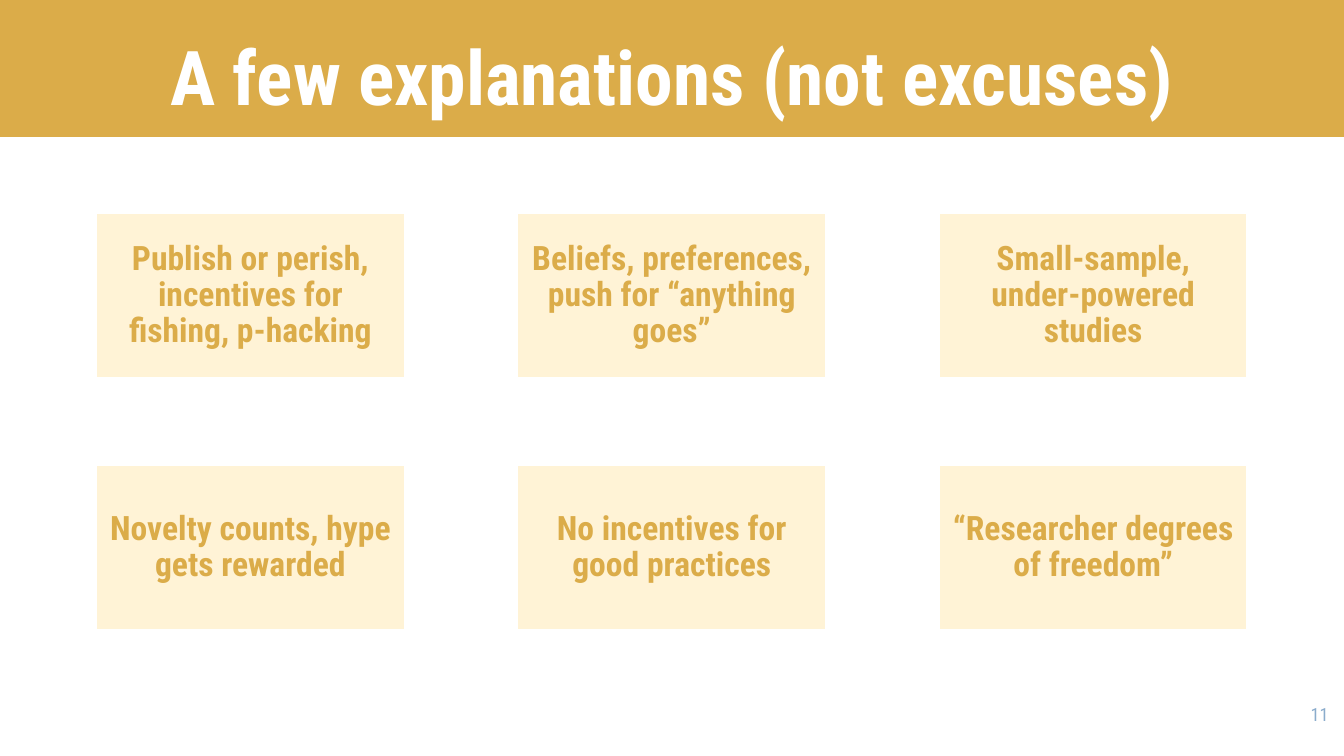
from dataclasses import dataclass

from pptx import Presentation, util as u
from pptx.dml.color import RGBColor
from pptx.enum import shapes, text

FONT = "Roboto Condensed"
GOLD, CREAM, WHITE, BLUE = "DBAC49", "FFF3D6", "FFFFFF", "8BACCC"
SLIDE_WIDTH, SLIDE_HEIGHT = 33.87, 19.05
BAND_HEIGHT = 3.45
CARD_WIDTH, CARD_HEIGHT = 7.8, 4.17
FIRST_LEFT, FIRST_TOP = 2.41, 5.36
COLUMN_STEP, ROW_STEP = 10.62, 6.36


@dataclass(frozen=True)
class Explanation:
    wording: str
    column: int
    row: int


EXPLANATIONS = [
    Explanation("Publish or perish, incentives for fishing, p-hacking", 0, 0),
    Explanation("Novelty counts, hype gets rewarded", 0, 1),
    Explanation("Beliefs, preferences, push for “anything goes”", 1, 0),
    Explanation("No incentives for good practices", 1, 1),
    Explanation("Small-sample, under-powered studies", 2, 0),
    Explanation("“Researcher degrees of freedom”", 2, 1),
]


def color(hex_value: str) -> RGBColor:
    return RGBColor.from_string(hex_value)


def write(shape, wording: str, *, size: float, hue: str, bold: bool = False,
          align=text.PP_ALIGN.CENTER, anchor=text.MSO_ANCHOR.TOP,
          spacing: float = 1.0, inset_x: float = 0.25,
          inset_y: float = 0.13) -> None:
    frame = shape.text_frame
    frame.word_wrap = True
    frame.vertical_anchor = anchor
    frame.margin_left = frame.margin_right = u.Cm(inset_x)
    frame.margin_top = frame.margin_bottom = u.Cm(inset_y)
    paragraph = frame.paragraphs[0]
    paragraph.alignment = align
    paragraph.line_spacing = spacing
    run = paragraph.add_run()
    run.text = wording
    run.font.name = FONT
    run.font.size = u.Pt(size)
    run.font.bold = bold
    run.font.color.rgb = color(hue)


def add_block(slide, left: float, top: float, width: float, height: float,
              fill: str):
    block = slide.shapes.add_shape(
        shapes.MSO_SHAPE.RECTANGLE,
        u.Cm(left), u.Cm(top), u.Cm(width), u.Cm(height))
    block.shadow.inherit = False
    block.fill.solid()
    block.fill.fore_color.rgb = color(fill)
    block.line.fill.background()
    return block


def add_explanation(slide, explanation: Explanation) -> None:
    card = add_block(slide,
                     FIRST_LEFT + explanation.column * COLUMN_STEP,
                     FIRST_TOP + explanation.row * ROW_STEP,
                     CARD_WIDTH, CARD_HEIGHT, CREAM)
    card.line.color.rgb = color(WHITE)
    card.line.width = u.Pt(2)
    write(card, explanation.wording, size=24, hue=GOLD, bold=True,
          anchor=text.MSO_ANCHOR.MIDDLE, spacing=0.9,
          inset_x=0.3, inset_y=0.3)


def main() -> None:
    deck = Presentation()
    deck.slide_width, deck.slide_height = u.Cm(SLIDE_WIDTH), u.Cm(SLIDE_HEIGHT)
    slide = deck.slides.add_slide(deck.slide_layouts[6])

    add_block(slide, 0, 0, SLIDE_WIDTH, BAND_HEIGHT, GOLD)
    title = slide.shapes.add_textbox(
        u.Cm(0), u.Cm(-0.28), u.Cm(SLIDE_WIDTH), u.Cm(BAND_HEIGHT))
    write(title, "A few explanations (not excuses)", size=54, hue=WHITE,
          bold=True, anchor=text.MSO_ANCHOR.BOTTOM)
    page_number = slide.shapes.add_textbox(
        u.Cm(31.7), u.Cm(17.6), u.Cm(2.03), u.Cm(1.45))
    write(page_number, "11", size=13, hue=BLUE, align=text.PP_ALIGN.RIGHT)

    for explanation in EXPLANATIONS:
        add_explanation(slide, explanation)

    deck.save("out.pptx")


if __name__ == "__main__":
    main()
